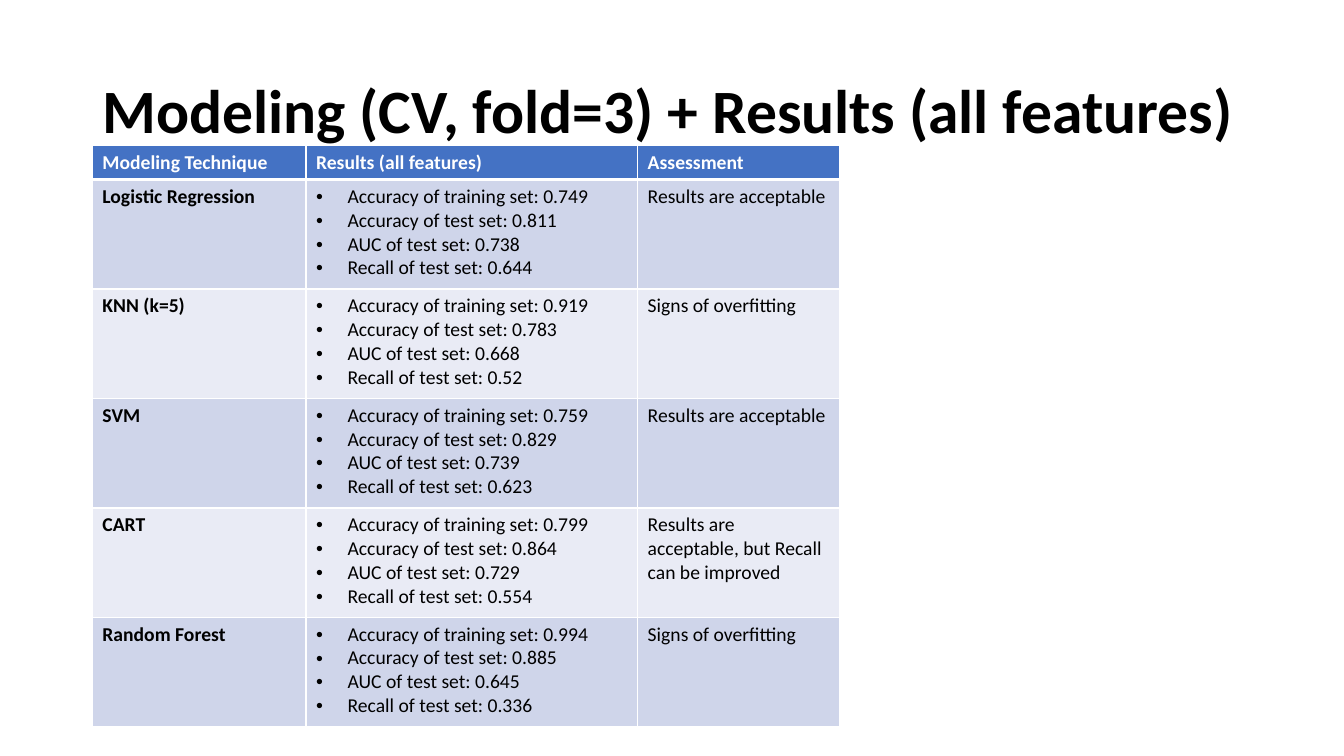
from lxml import etree
from pptx import Presentation
from pptx.dml.color import RGBColor
from pptx.enum.text import MSO_ANCHOR, MSO_AUTO_SIZE, PP_ALIGN
from pptx.oxml.ns import qn
from pptx.util import Pt

LEFT = PP_ALIGN.LEFT
MIDDLE = MSO_ANCHOR.MIDDLE
NO_AUTOFIT = MSO_AUTO_SIZE.NONE
TITLE_ONLY = 5

FONT = "Calibri"
COLORS = {
    "text": "000000",
    "header_text": "FFFFFF",
    "header": "4472C4",
    "odd_row": "CFD5EA",
    "even_row": "E9EBF5",
    "border": "FFFFFF",
}

TITLE = "Modeling (CV, fold=3) + Results (all features)"
HEADINGS = ["Modeling Technique", "Results (all features)", "Assessment"]
METRICS = [
    "Accuracy of training set",
    "Accuracy of test set",
    "AUC of test set",
    "Recall of test set",
]
MODELS = [
    ("Logistic Regression", [0.749, 0.811, 0.738, 0.644], "Results are acceptable"),
    ("KNN (k=5)", [0.919, 0.783, 0.668, 0.52], "Signs of overfitting"),
    ("SVM", [0.759, 0.829, 0.739, 0.623], "Results are acceptable"),
    ("CART", [0.799, 0.864, 0.729, 0.554],
     "Results are acceptable, but Recall can be improved"),
    ("Random Forest", [0.994, 0.885, 0.645, 0.336], "Signs of overfitting"),
]
COLUMN_WIDTHS = [152.6, 236.9, 144.4]
HEADER_HEIGHT = 24.5
MODEL_HEIGHT = 78.2
BULLET_INDENT = 22.5


def rgb(name):
    return RGBColor.from_string(COLORS[name])


def style_paragraph(paragraph, size, color, bold):
    font = paragraph.font
    font.name = FONT
    font.size = Pt(size)
    font.bold = bold
    font.color.rgb = rgb(color)


def add_bullet(paragraph):
    properties = paragraph._p.get_or_add_pPr()
    properties.set("marL", str(Pt(BULLET_INDENT)))
    properties.set("indent", str(-Pt(BULLET_INDENT)))
    bullet_font = etree.Element(qn("a:buFont"), typeface="Arial")
    bullet = etree.Element(qn("a:buChar"), char="•")
    # Bullet elements precede the default run properties in the schema.
    properties.insert(0, bullet_font)
    properties.insert(1, bullet)


def set_borders(cell, top=1, bottom=1):
    properties = cell._tc.get_or_add_tcPr()
    for side, width in (("lnL", 1), ("lnR", 1), ("lnT", top), ("lnB", bottom)):
        line = etree.SubElement(properties, qn(f"a:{side}"), w=str(Pt(width)))
        fill = etree.SubElement(line, qn("a:solidFill"))
        etree.SubElement(fill, qn("a:srgbClr"), val=COLORS["border"])


def fill_cell(cell, lines, fill, color="text", bold=False, bullets=False):
    cell.fill.solid()
    cell.fill.fore_color.rgb = rgb(fill)
    cell.text = "\n".join(lines)
    for paragraph in cell.text_frame.paragraphs:
        style_paragraph(paragraph, 14, color, bold)
        if bullets:
            add_bullet(paragraph)


def add_title(slide):
    title = slide.shapes.title
    title.left, title.top = Pt(66), Pt(28.8)
    title.width, title.height = Pt(828), Pt(104.4)
    frame = title.text_frame
    frame.text = TITLE
    frame.word_wrap = True
    frame.auto_size = NO_AUTOFIT
    frame.vertical_anchor = MIDDLE
    heading = frame.paragraphs[0]
    heading.alignment = LEFT
    heading.line_spacing = 0.9
    style_paragraph(heading, 44, "text", True)


def add_results_table(slide):
    height = HEADER_HEIGHT + MODEL_HEIGHT * len(MODELS)
    table = slide.shapes.add_table(
        len(MODELS) + 1, len(HEADINGS),
        Pt(66), Pt(103.8), Pt(sum(COLUMN_WIDTHS)), Pt(height),
    ).table
    for column, width in zip(table.columns, COLUMN_WIDTHS):
        column.width = Pt(width)
    for index, row in enumerate(table.rows):
        row.height = Pt(MODEL_HEIGHT if index else HEADER_HEIGHT)
        for cell in row.cells:
            set_borders(cell, top=3 if index == 1 else 1,
                        bottom=1 if index else 3)

    for column, heading in enumerate(HEADINGS):
        fill_cell(table.cell(0, column), [heading], "header", "header_text", bold=True)
    for row, (model, scores, assessment) in enumerate(MODELS, start=1):
        band = "odd_row" if row % 2 else "even_row"
        results = [f"{metric}: {score}" for metric, score in zip(METRICS, scores)]
        fill_cell(table.cell(row, 0), [model], band, bold=True)
        fill_cell(table.cell(row, 1), results, band, bullets=True)
        fill_cell(table.cell(row, 2), [assessment], band)


def main():
    deck = Presentation()
    deck.slide_width, deck.slide_height = Pt(960), Pt(540)
    slide = deck.slides.add_slide(deck.slide_layouts[TITLE_ONLY])
    add_title(slide)
    add_results_table(slide)
    deck.save("out.pptx")


if __name__ == "__main__":
    main()
